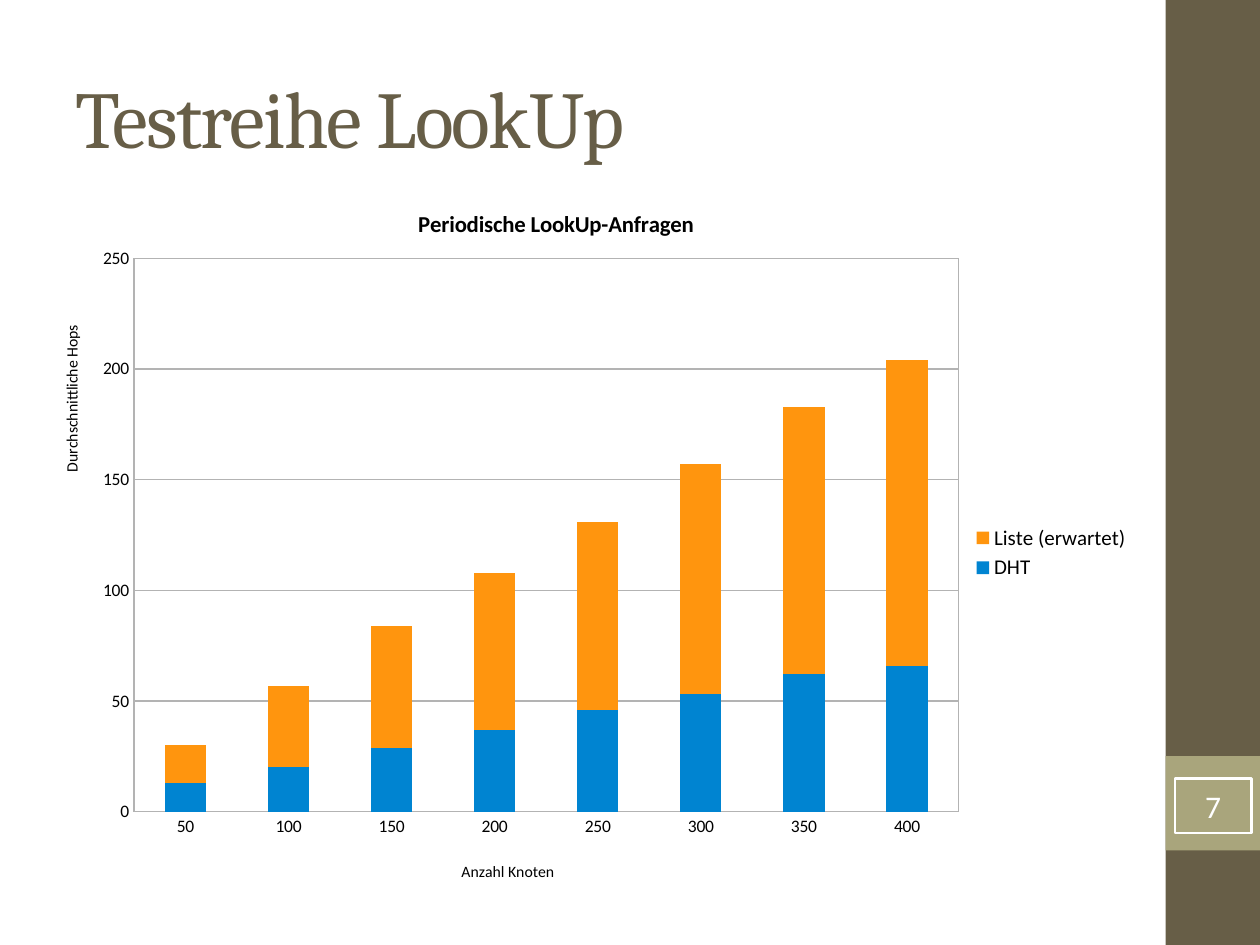
import pptx
import pptx.chart.data
import pptx.dml.color
import pptx.enum.chart
import pptx.enum.shapes
import pptx.enum.text
import pptx.oxml
import pptx.oxml.ns
import pptx.util
from dataclasses import dataclass

Pt = pptx.util.Pt
qn = pptx.oxml.ns.qn
XL = pptx.enum.chart


@dataclass(frozen=True)
class Theme:
    brown: str = "675E47"
    olive: str = "A9A57C"
    white: str = "FFFFFF"
    black: str = "000000"
    grey: str = "B3B3B3"
    blue: str = "0084D1"
    orange: str = "FF950E"
    heading: str = "Cambria"
    body: str = "Calibri"
    title_size: float = 46
    number_size: float = 18
    chart_title_size: float = 13
    legend_size: float = 12
    tick_size: float = 10
    axis_title_size: float = 9


def rgb(color):
    return pptx.dml.color.RGBColor.from_string(color)


class SlideBuilder:
    def __init__(self, slide, theme):
        self.s, self.theme = slide, theme

    def style_font(self, font, size, color, name=None, bold=False):
        values = {"size": Pt(size), "name": name or self.theme.body, "bold": bold}
        for key, value in values.items():
            setattr(font, key, value)
        font.color.rgb = rgb(color)

    def style_line(self, line, color, width):
        line.color.rgb = rgb(color)
        line.width = Pt(width)

    def add_text(self, sp, text, size, color, name=None, align=None, inset=None):
        tf = sp.text_frame
        tf.word_wrap = True
        tf.vertical_anchor = pptx.enum.text.MSO_ANCHOR.MIDDLE
        if inset is not None:
            for side in ("left", "top", "right", "bottom"):
                setattr(tf, f"margin_{side}", Pt(inset))
        p = tf.paragraphs[0]
        p.alignment = align
        r = p.add_run()
        r.text = text
        self.style_font(r.font, size, color, name)
        return r

    def rect(self, box, fill=None, line=None, width=1.5):
        kind = pptx.enum.shapes.MSO_SHAPE.RECTANGLE
        sp = self.s.shapes.add_shape(kind, *map(Pt, box))
        sp.shadow.inherit = False
        if fill:
            sp.fill.solid()
            sp.fill.fore_color.rgb = rgb(fill)
        else:
            sp.fill.background()
        if line:
            self.style_line(sp.line, line, width)
        else:
            sp.line.fill.background()
        return sp

    def title(self, box, text):
        sp = self.s.shapes.add_textbox(*map(Pt, box))
        r = self.add_text(sp, text, self.theme.title_size, self.theme.brown,
                          self.theme.heading)
        r.font._element.set("spc", "-100")

    def place(self, element, index=0, **fractions):
        """Set a manual layout, in fractions of the chart area."""
        layout = element.find(qn("c:layout"))
        if layout is None:
            layout = pptx.oxml.parse_xml(f"<c:layout {pptx.oxml.ns.nsdecls('c')}/>")
            element.insert(index, layout)
        values = {"xMode": "edge", "yMode": "edge", **fractions}
        if "w" in fractions:
            values = {"layoutTarget": "outer", **values}
        manual = layout.makeelement(qn("c:manualLayout"), {})
        layout.append(manual)
        for tag, value in values.items():
            manual.append(manual.makeelement(qn(f"c:{tag}"), {"val": str(value)}))

    def chart_text(self, title, text, size, x, y, bold=False):
        p = title.text_frame.paragraphs[0]
        r = p.add_run()
        r.text = text
        self.style_font(r.font, size, self.theme.black, bold=bold)
        self.place(title._element, 1, x=x, y=y)

    def axis(self, axis, text, x, y):
        t = self.theme
        axis.major_tick_mark = axis.minor_tick_mark = XL.XL_TICK_MARK.NONE
        self.style_line(axis.format.line, t.grey, 0.75)
        self.style_font(axis.tick_labels.font, t.tick_size, t.black)
        self.chart_text(axis.axis_title, text, t.axis_title_size, x, y)

    def stacked_chart(self, box, categories, series):
        t = self.theme
        data = pptx.chart.data.CategoryChartData()
        data.categories = categories
        for name, values, _ in series:
            data.add_series(name, values)
        kind = XL.XL_CHART_TYPE.COLUMN_STACKED
        chart = self.s.shapes.add_chart(kind, *map(Pt, box), data).chart
        self.style_font(chart.font, t.tick_size, t.black, "Arial")

        # Columns
        plot = chart.plots[0]
        for key, value in {"gap_width": 150, "overlap": 100,
                           "vary_by_categories": False}.items():
            setattr(plot, key, value)
        for item, (_, _, color) in zip(plot.series, series):
            item.format.fill.solid()
            item.format.fill.fore_color.rgb = rgb(color)

        # Titles and axes
        chart.has_title = True
        self.chart_text(chart.chart_title, "Periodische LookUp-Anfragen",
                        t.chart_title_size, 0.35, 0.04, bold=True)
        self.axis(chart.category_axis, "Anzahl Knoten", 0.39, 0.93)
        value_axis = chart.value_axis
        self.axis(value_axis, "Durchschnittliche Hops", 0.03, 0.2)
        value_axis.axis_title.text_frame._txBody.bodyPr.set("rot", "-5400000")
        for key, value in {"minimum_scale": 0, "maximum_scale": 250,
                           "major_unit": 50, "has_major_gridlines": True}.items():
            setattr(value_axis, key, value)
        self.style_line(value_axis.major_gridlines.format.line, t.grey, 0.75)

        # Legend
        chart.has_legend = True
        chart.legend.position = XL.XL_LEGEND_POSITION.RIGHT
        chart.legend.include_in_layout = False
        self.style_font(chart.legend.font, t.legend_size, t.black)
        self.place(chart.legend._element, 1, x=0.85, y=0.47)

        # Plot area with a thin frame
        area = chart._chartSpace.find(".//" + qn("c:plotArea"))
        self.place(area, x=0.07, y=0.1, w=0.77, h=0.8)
        area.append(pptx.oxml.parse_xml(
            f"<c:spPr {pptx.oxml.ns.nsdecls('c', 'a')}><a:noFill/>"
            f'<a:ln w="{Pt(0.75)}"><a:solidFill><a:srgbClr val="{t.grey}"/>'
            "</a:solidFill></a:ln></c:spPr>"))


def main():
    prs = pptx.Presentation()
    prs.slide_width, prs.slide_height = Pt(720), Pt(540)
    theme = Theme()
    page = SlideBuilder(prs.slides.add_slide(prs.slide_layouts[6]), theme)

    # Side band
    page.rect((666, 0, 54, 540), theme.brown)
    page.rect((666, 432, 54, 54), theme.olive)

    # Title and chart
    page.title((36, 21.6, 600, 90), "Testreihe LookUp")
    page.stacked_chart((14.4, 100, 635, 420), [str(n) for n in range(50, 401, 50)], [
        ("DHT", (13, 20, 29, 37, 46, 53, 62, 66), theme.blue),
        ("Liste (erwartet)", (17, 37, 55, 71, 85, 104, 121, 138), theme.orange),
    ])

    # Slide number
    badge = page.rect((671.5, 445, 43.5, 31), line=theme.white)
    page.add_text(badge, "7", theme.number_size, theme.white,
                  align=pptx.enum.text.PP_ALIGN.CENTER, inset=0)

    prs.save("out.pptx")


if __name__ == "__main__":
    main()
